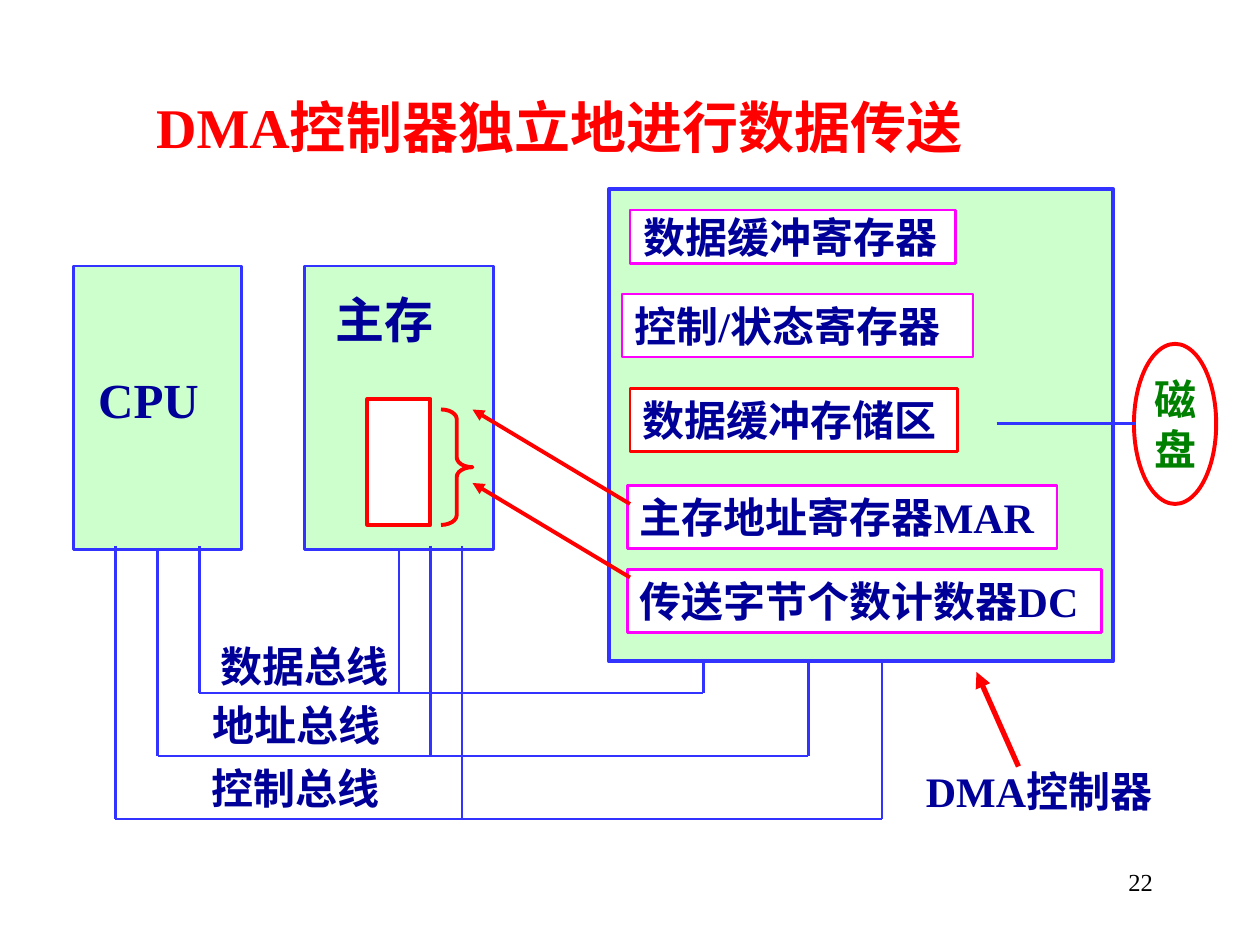
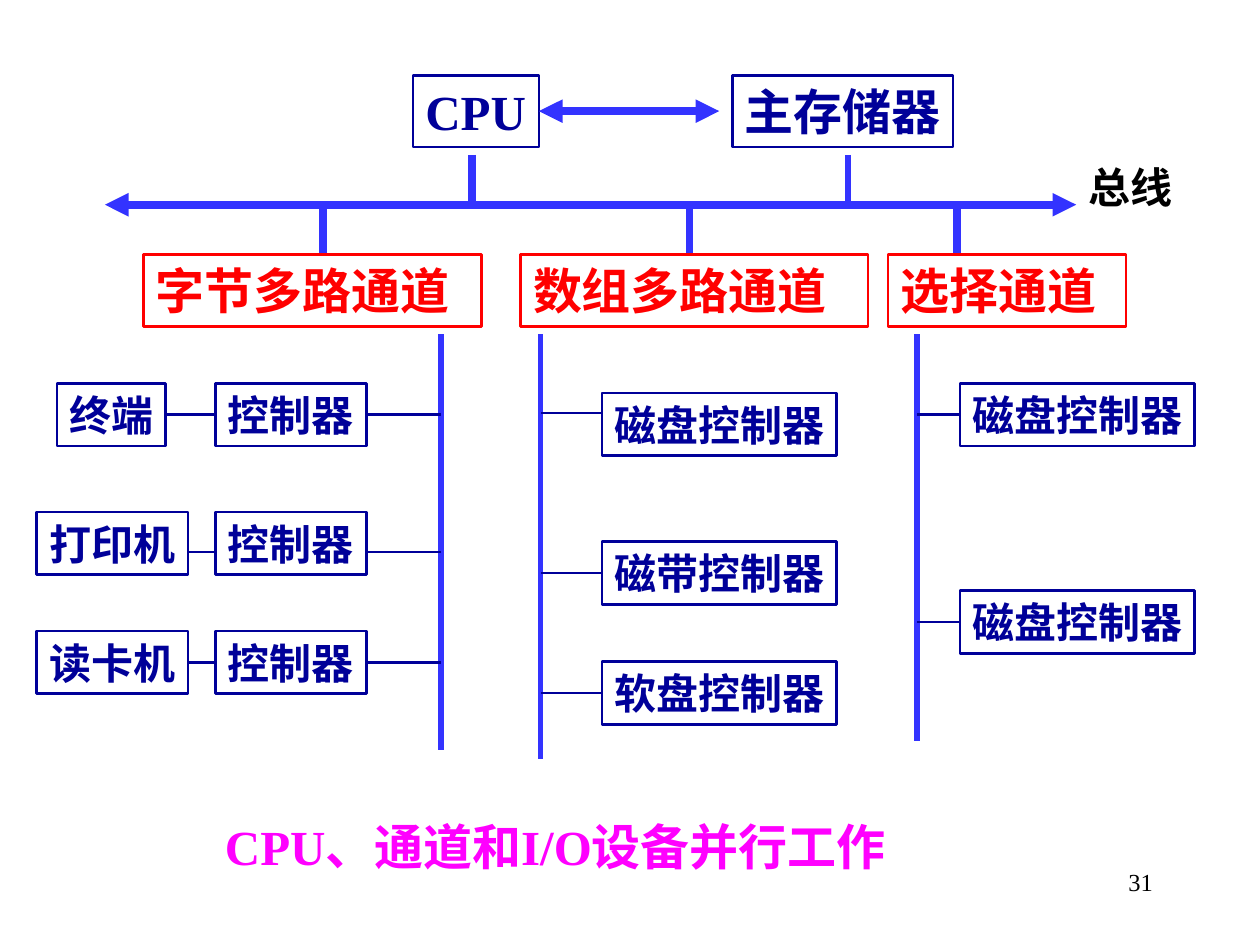
from lxml import etree
from pptx import Presentation
from pptx.dml.color import RGBColor
from pptx.enum.shapes import MSO_CONNECTOR, MSO_SHAPE
from pptx.enum.text import MSO_ANCHOR, MSO_AUTO_SIZE, PP_ALIGN
from pptx.oxml.ns import qn
from pptx.util import Pt

STRAIGHT = MSO_CONNECTOR.STRAIGHT
RECTANGLE, OVAL, BRACE = MSO_SHAPE.RECTANGLE, MSO_SHAPE.OVAL, MSO_SHAPE.RIGHT_BRACE
TOP, MIDDLE = MSO_ANCHOR.TOP, MSO_ANCHOR.MIDDLE
LEFT, CENTER, RIGHT = PP_ALIGN.LEFT, PP_ALIGN.CENTER, PP_ALIGN.RIGHT
LEFT_SIDE, BOTTOM_SIDE, RIGHT_SIDE = 1, 2, 3

FONT = "Times New Roman"
COLORS = {
    "navy": "000099", "blue": "3333FF", "red": "FF0000", "magenta": "FF00FF",
    "green": "008000", "mint": "CCFFCC", "white": "FFFFFF", "black": "000000",
}
TITLE_ONLY, BLANK = 5, 6
INSETS = (7.2, 3.6)
ROW_HEIGHT = 36


def rgb(name):
    return RGBColor.from_string(COLORS[name])


def write(frame, text, color="navy", size=24, bold=True, align=LEFT,
          anchor=TOP, wrap=True, insets=INSETS):
    """Fill a text frame, one paragraph per line of text."""
    frame.auto_size = MSO_AUTO_SIZE.NONE
    frame.word_wrap = wrap
    frame.vertical_anchor = anchor
    frame.margin_left = frame.margin_right = Pt(insets[0])
    frame.margin_top = frame.margin_bottom = Pt(insets[1])
    for index, words in enumerate(text.split("\n")):
        para = frame.paragraphs[0] if index == 0 else frame.add_paragraph()
        para.alignment = align
        span = para.add_run()
        span.text = words
        span.font.name = FONT
        span.font.size = Pt(size)
        span.font.bold = bold
        span.font.color.rgb = rgb(color)


def add_label(page, area, text, **style):
    label = page.shapes.add_textbox(*map(Pt, area))
    write(label.text_frame, text, **style)


def add_box(page, area, outline="navy", text=None, fill="white", weight=1.5,
            kind=RECTANGLE, **style):
    box = page.shapes.add_shape(kind, *map(Pt, area))
    box.shadow.inherit = False
    if fill:
        box.fill.solid()
        box.fill.fore_color.rgb = rgb(fill)
    else:
        box.fill.background()
    box.line.color.rgb = rgb(outline)
    box.line.width = Pt(weight)
    if text:
        write(box.text_frame, text, **style)
    return box


def add_line(page, start, finish, color="blue", weight=1.5, heads=(),
             join_start=None, join_finish=None):
    """Draw a line; heads names the arrow ends, joins are (box, side)."""
    line = page.shapes.add_connector(STRAIGHT, *map(Pt, start + finish))
    line.line.color.rgb = rgb(color)
    line.line.width = Pt(weight)
    if join_start:
        line.begin_connect(*join_start)
    if join_finish:
        line.end_connect(*join_finish)
    outline = line.line._get_or_add_ln()
    for head in heads:
        etree.SubElement(outline, qn("a:" + head), type="triangle")
    etree.SubElement(line._element.spPr, qn("a:effectLst"))


def add_page_number(page, number):
    add_label(page, (516, 492, 150, 36), number, color="black", size=14,
              bold=False, align=RIGHT)


def add_tap(page, trunk_x, box, side, y=None):
    """Wire a box to a vertical trunk, at the box's middle unless y is given."""
    edge = box.left.pt if side == LEFT_SIDE else box.left.pt + box.width.pt
    join = None if y else (box, side)
    y = y or box.top.pt + box.height.pt / 2
    add_line(page, (edge, y), (trunk_x, y), "navy", join_start=join)


def build_dma(deck):
    page = deck.slides.add_slide(deck.slide_layouts[TITLE_ONLY])
    title = page.shapes.title
    title.left, title.top, title.width, title.height = map(Pt, (82, 49, 492, 46))
    write(title.text_frame, "DMA控制器独立地进行数据传送", color="red", size=32)

    # Processor, memory and controller
    cpu = add_box(page, (42, 152, 96, 162), "blue", fill="mint")
    memory = add_box(page, (174, 152, 108, 162), "blue", fill="mint")
    add_box(page, (348, 108, 288, 270), "blue", fill="mint", weight=2.25)
    add_label(page, (49, 207.5, 76, 41), "CPU", size=28)
    add_label(page, (184.5, 162, 91, 41), "主存", size=28)
    add_box(page, (210, 228, 36, 72), "red", weight=2.25)
    brace = add_box(page, (252, 234, 18, 66), "red", fill=None, weight=2.25, kind=BRACE)
    brace.adjustments[0] = 0.31

    # Registers inside the controller
    add_box(page, (360, 120, 186, 30.5), "magenta", "数据缓冲寄存器", insets=(7.5, 0.72))
    for area, outline, text in (
        ((355.5, 168, 200.5, ROW_HEIGHT), "magenta", "控制/状态寄存器"),
        ((360, 222, 187, ROW_HEIGHT), "red", "数据缓冲存储区"),
        ((358.5, 277.5, 245.5, ROW_HEIGHT), "magenta", "主存地址寄存器MAR"),
        ((358.5, 325.5, 271, ROW_HEIGHT), "magenta", "传送字节个数计数器DC"),
    ):
        add_box(page, area, outline, text, wrap=False)
    for y in (288, 330):
        add_line(page, (360, y), (270, y - 54), "red", 2.25, ["tailEnd"])

    # Buses: each joins processor, memory and controller
    for cpu_x, memory_x, dma_x, y in (
        (114, 228, 402, 396), (90, 246, 462, 432), (66, 264, 504, 468),
    ):
        cpu_join = (cpu, BOTTOM_SIDE) if cpu_x == 90 else None
        memory_join = (memory, BOTTOM_SIDE) if memory_x == 228 else None
        add_line(page, (cpu_x, 312), (cpu_x, y), join_start=cpu_join)
        add_line(page, (memory_x, 312), (memory_x, y), join_start=memory_join)
        add_line(page, (cpu_x, y), (dma_x, y))
        add_line(page, (dma_x, y), (dma_x, 378))
    for x, y, text in ((119, 362.4, "数据总线"), (114.5, 396, "地址总线"),
                       (114, 432, "控制总线")):
        add_label(page, (x, y, 126, ROW_HEIGHT), text)

    # Disk and controller caption
    add_box(page, (648, 196.5, 47, 91.5), "red", "磁\n盘", weight=2.25, kind=OVAL,
            color="green", align=CENTER, anchor=MIDDLE, wrap=False)
    add_line(page, (569.5, 242), (649, 242), weight=2.25)
    add_label(page, (522, 434, 167, ROW_HEIGHT), "DMA控制器")
    add_line(page, (582, 438), (558, 384), "red", 3, ["tailEnd"])
    add_page_number(page, "22")


def build_channels(deck):
    page = deck.slides.add_slide(deck.slide_layouts[BLANK])

    # Processor, memory and the system bus
    both_ends = ["headEnd", "tailEnd"]
    cpu = add_box(page, (236, 43, 72, 41), text="CPU", size=28, wrap=False)
    add_box(page, (418.5, 43, 126, 41), text="主存储器", size=28, wrap=False)
    add_line(page, (308, 63.5), (411, 63.5), "blue", 4.5, both_ends,
             join_start=(cpu, RIGHT_SIDE))
    add_line(page, (60, 117), (615, 117), "blue", 4.5, both_ends)
    add_line(page, (269.5, 88.5), (269.5, 117), weight=4.5)
    add_line(page, (484.5, 88.5), (484.5, 117), weight=3)
    add_label(page, (615, 88.5, 79, ROW_HEIGHT), "总线", color="black")

    # Channels, each with its drop from the bus and its trunk
    for x, width, text, drop_x, trunk_x, trunk_end in (
        (82, 193, "字节多路通道", 184.5, 252, 428.5),
        (297.5, 198.5, "数组多路通道", 394, 309, 434),
        (507.5, 136, "选择通道", 547, 524, 423.5),
    ):
        add_line(page, (drop_x, 117), (drop_x, 145.5), weight=4.5)
        add_box(page, (x, 145.5, width, 41), "red", text, color="red", size=28)
        add_line(page, (trunk_x, 191), (trunk_x, trunk_end), weight=3)

    # Slow devices on the byte channel
    for text, x, width, y, wire_y in (
        ("终端", 32.5, 62, 219, None),
        ("打印机", 21, 86.5, 292.5, 315.5),
        ("读卡机", 21, 86.5, 360.5, None),
    ):
        device = add_box(page, (x, y, width, ROW_HEIGHT), text=text, wrap=False)
        control = add_box(page, (123, y, 86.5, ROW_HEIGHT), text="控制器", wrap=False)
        middle = wire_y or y + ROW_HEIGHT / 2
        joins = {} if wire_y else {"join_start": (device, RIGHT_SIDE),
                                   "join_finish": (control, LEFT_SIDE)}
        add_line(page, (x + width, middle), (123, middle), "navy", **joins)
        add_tap(page, 252, control, RIGHT_SIDE, wire_y)

    # Storage controllers on the other two channels
    for trunk_x, x, y, text, wire_y in (
        (309, 344, 224.5, "磁盘控制器", 236),
        (309, 344, 309.5, "磁带控制器", None),
        (309, 344, 378, "软盘控制器", None),
        (524, 548.5, 219, "磁盘控制器", None),
        (524, 548.5, 337.5, "磁盘控制器", None),
    ):
        control = add_box(page, (x, y, 134, ROW_HEIGHT), text=text, wrap=False)
        add_tap(page, trunk_x, control, LEFT_SIDE, wire_y)

    # Conclusion
    add_label(page, (121.5, 463, 453.5, 41), "CPU、通道和I/O设备并行工作",
              color="magenta", size=28)
    add_page_number(page, "31")


def main():
    deck = Presentation()
    deck.slide_width, deck.slide_height = Pt(720), Pt(540)
    build_dma(deck)
    build_channels(deck)
    deck.save("out.pptx")


if __name__ == "__main__":
    main()
